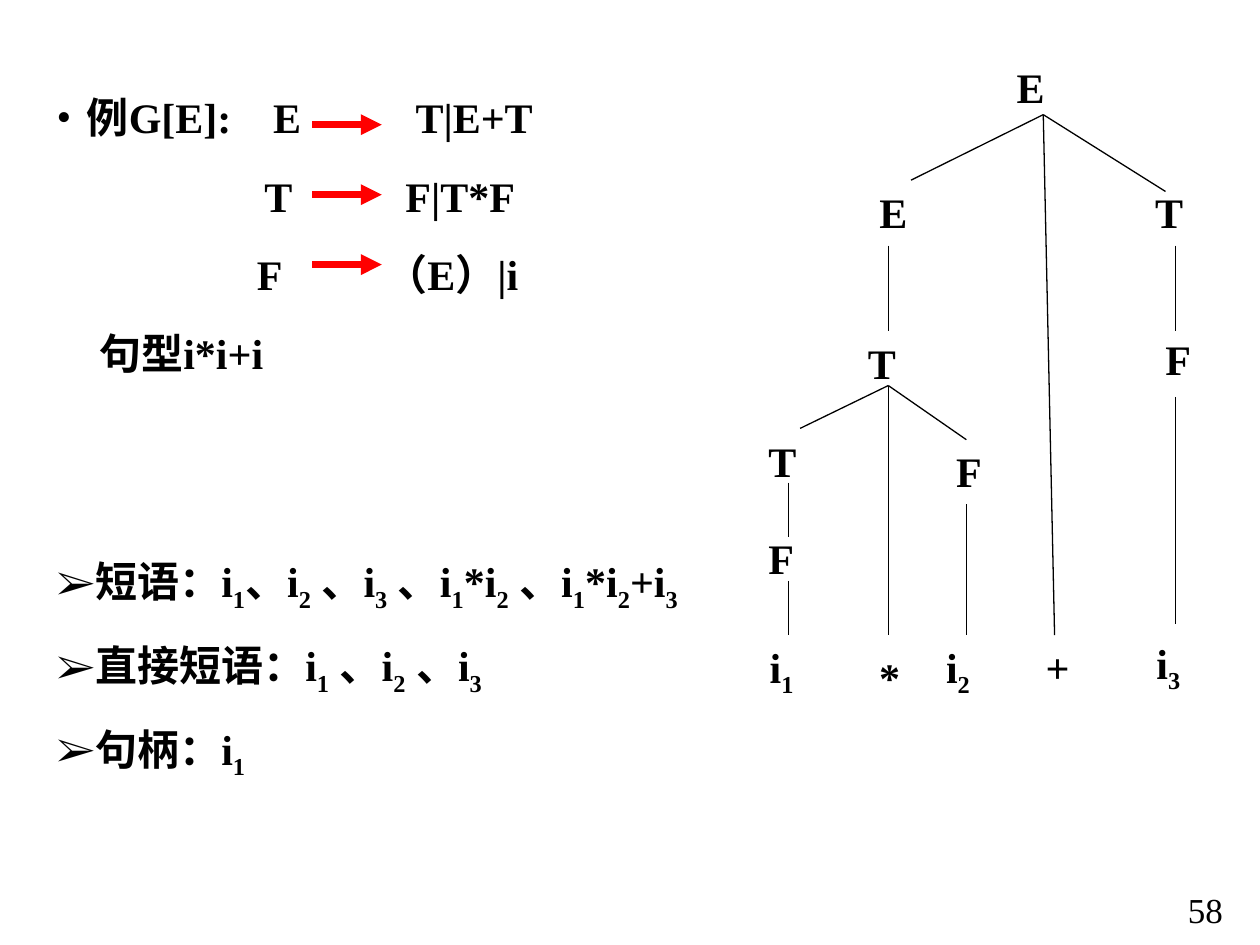
from dataclasses import dataclass

from lxml.etree import SubElement
from pptx import Presentation
from pptx.dml.color import RGBColor
from pptx.enum.shapes import MSO_CONNECTOR
from pptx.oxml.ns import qn
from pptx.util import Inches, Pt


@dataclass(frozen=True)
class Theme:
    font: str = "Times New Roman"
    ink: RGBColor = RGBColor(0, 0, 0)
    arrow: RGBColor = RGBColor(0xFF, 0, 0)
    body: int = 24
    number: int = 20
    gap: int = 15
    rule_gap: int = 16
    wide_gap: int = 102
    thin: float = 0.75
    thick: float = 4


THEME = Theme()

# Left sides of the grammar rules, then the sentence form
LEFT_SIDES = [
    ("例G[E]:\tE", dict(margin=0.24, tabs=(1.72,), bullet="•")),
    ("T", dict(margin=1.65)),
    ("F", dict(margin=1.59)),
    ("句型i*i+i", dict(margin=0.34)),
]

# Right sides of the grammar rules
RIGHT_SIDES = [
    ("T|E+T", dict(margin=0.24)),
    ("F|T*F", dict(margin=0.16)),
    ("（E）|i", dict(margin=0)),
]

# Answers; braces hold subscripts
ANSWERS = [
    "短语：i{1}、i{2} 、i{3} 、i{1}*i{2} 、i{1}*i{2}+i{3}",
    "直接短语：i{1} 、i{2} 、i{3}",
    "句柄：i{1}",
]

# Tree nodes: label, left, top, width
NODES = [
    ("E", 7.97, 0.44, 0.42),
    ("E", 6.88, 1.43, 0.42),
    ("T", 9.07, 1.43, 0.42),
    ("T", 6.79, 2.63, 0.42),
    ("F", 9.15, 2.6, 0.4),
    ("T", 6, 3.41, 0.42),
    ("F", 7.49, 3.49, 0.4),
    ("F", 6, 4.18, 0.4),
    ("i{1}", 6.01, 5.04, 0.39),
    ("*", 6.88, 5.12, 0.36),
    ("i{2}", 7.41, 5.04, 0.39),
    ("+", 8.2, 5.04, 0.39),
    ("i{3}", 9.08, 5.01, 0.39),
]

# Tree branches: a start point and the ends reached from it
BRANCHES = [
    ((8.28, 0.91), [(7.23, 1.43), (8.37, 5.04), (9.25, 1.52)]),
    ((7.05, 1.95), [(7.05, 2.63)]),
    ((9.33, 1.95), [(9.33, 2.63)]),
    ((9.33, 3.15), [(9.33, 4.95)]),
    ((7.05, 3.06), [(6.35, 3.4), (7.05, 5.04), (7.67, 3.49)]),
    ((6.26, 3.83), [(6.26, 4.26)]),
    ((6.26, 4.61), [(6.26, 5.04)]),
    ((7.67, 4), [(7.67, 5.04)]),
]


def add_box(shapes, left, top, width, height, wrap=True):
    s = shapes.add_textbox(Inches(left), Inches(top), Inches(width), Inches(height))
    s.text_frame.word_wrap = wrap
    return s.text_frame


def write(p, text, size=THEME.body, bold=True, before=0, margin=0, tabs=(), bullet=None):
    """Fill a paragraph; text inside braces becomes subscript."""
    p.space_before = Pt(before)
    pPr = p._p.get_or_add_pPr()
    pPr.set("marL", str(Inches(margin)))
    pPr.set("indent", str(-Inches(margin) if bullet else 0))
    if bullet:
        SubElement(pPr, qn("a:buFont"), typeface=THEME.font)
        SubElement(pPr, qn("a:buChar"), char=bullet)
    else:
        SubElement(pPr, qn("a:buNone"))
    if tabs:
        tab_list = SubElement(pPr, qn("a:tabLst"))
        for pos in tabs:
            SubElement(tab_list, qn("a:tab"), pos=str(Inches(pos)), algn="l")
    for i, part in enumerate(text.replace("}", "{").split("{")):
        if not part:
            continue
        r = p.add_run()
        r.text = part
        r.font.name = THEME.font
        r.font.size = Pt(size)
        r.font.bold = bold
        r.font.color.rgb = THEME.ink
        if i % 2:
            r._r.get_or_add_rPr().set("baseline", "-25000")


def write_rules(tf, rules):
    for i, (text, layout) in enumerate(rules):
        p = tf.add_paragraph() if i else tf.paragraphs[0]
        write(p, text, before=THEME.rule_gap if i else 0, **layout)


def add_line(shapes, start, end, color=THEME.ink, width=THEME.thin, arrow=False):
    s = shapes.add_connector(MSO_CONNECTOR.STRAIGHT, *map(Inches, start + end))
    s.line.color.rgb = color
    s.line.width = Pt(width)
    if arrow:
        SubElement(s.line._get_or_add_ln(), qn("a:tailEnd"), type="triangle")
    SubElement(s._element.spPr, qn("a:effectLst"))


def add_body(shapes):
    tf = add_box(shapes, 0.35, 0.68, 5.59, 5.99)
    write_rules(tf, LEFT_SIDES)
    for i, text in enumerate(ANSWERS):
        write(tf.add_paragraph(), text, before=THEME.gap if i else THEME.wide_gap,
              margin=0.24, bullet="➢")
    write_rules(add_box(shapes, 2.96, 0.68, 2, 1.8), RIGHT_SIDES)


def add_tree(shapes):
    tree = shapes.add_group_shape().shapes
    for start, ends in BRANCHES:
        for end in ends:
            add_line(tree, start, end)
    for label, left, top, width in NODES:
        tf = add_box(tree, left, top, width, 0.56 if "{" in label else 0.5, wrap=False)
        write(tf.paragraphs[0], label)


def main():
    prs = Presentation()
    prs.slide_width, prs.slide_height = Inches(10), Inches(7.5)
    shapes = prs.slides.add_slide(prs.slide_layouts[6]).shapes

    # Grammar and answers
    add_body(shapes)

    # Production arrows
    for row in range(3):
        y = 0.99 + row * 0.555
        add_line(shapes, (2.48, y), (3.03, y), THEME.arrow, THEME.thick, arrow=True)

    # Parse tree
    add_tree(shapes)

    # Slide number
    tf = add_box(shapes, 9.33, 7, 0.67, 0.44)
    write(tf.paragraphs[0], "58", size=THEME.number, bold=False)

    prs.save("out.pptx")


if __name__ == "__main__":
    main()
